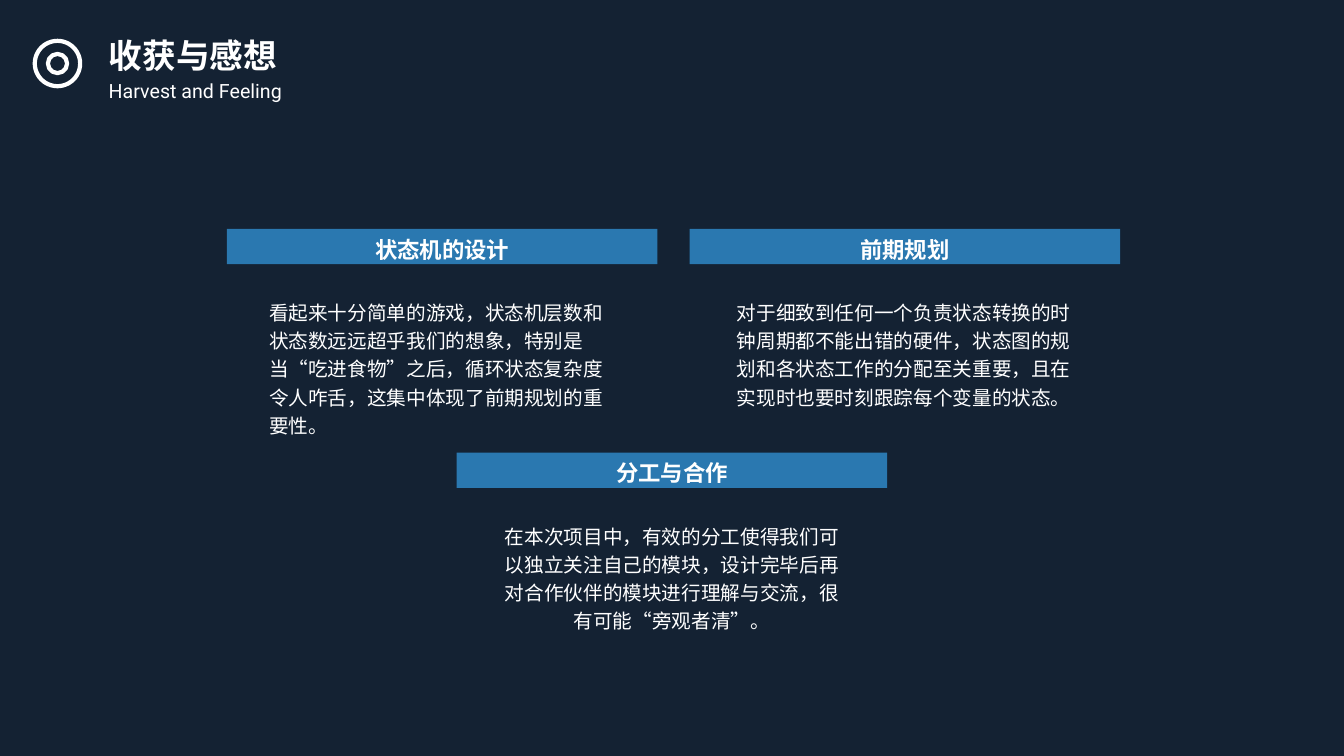
from pptx import Presentation
from pptx.dml.color import RGBColor
from pptx.enum.lang import MSO_LANGUAGE_ID
from pptx.enum.shapes import MSO_SHAPE
from pptx.enum.text import MSO_ANCHOR, MSO_AUTO_SIZE, PP_ALIGN
from pptx.util import Inches, Pt

TITLE = "收获与感想"
SUBTITLE = "Harvest and Feeling"
# heading, body, banner left, banner top, body offset from banner left, body alignment
LESSONS = [
    ("状态机的设计",
     "看起来十分简单的游戏，状态机层数和状态数远远超乎我们的想象，特别是当“吃进食物”之后，"
     "循环状态复杂度令人咋舌，这集中体现了前期规划的重要性。",
     2.25, 2.27, 0.32, PP_ALIGN.LEFT),
    ("前期规划",
     "对于细致到任何一个负责状态转换的时钟周期都不能出错的硬件，状态图的规划和各状态工作的分配至关重要，"
     "且在实现时也要时刻跟踪每个变量的状态。",
     6.84, 2.27, 0.31, PP_ALIGN.CENTER),
    ("分工与合作",
     "在本次项目中，有效的分工使得我们可以独立关注自己的模块，设计完毕后再对合作伙伴的模块进行理解与交流，"
     "很有可能“旁观者清”。",
     4.53, 4.49, 0.32, PP_ALIGN.CENTER),
]
COLORS = {"night": "142233", "banner": "2A78B0", "white": "FFFFFF"}
BANNER_SIZE = (4.27, 0.35)
BODY_SIZE = (3.63, 1.23)
BODY_DROP = 0.62
BANNER_INSET = 0.11
RING_CENTER = (0.57, 0.63)
RING_DIAMETERS = (0.45, 0.19)

CHINESE = MSO_LANGUAGE_ID.SIMPLIFIED_CHINESE
TITLE_FONT = {"size": Pt(24), "bold": True, "language_id": CHINESE}
BANNER_FONT = {"size": Pt(16), "bold": True, "language_id": CHINESE}
BODY_FONT = {"size": Pt(14), "language_id": CHINESE}
SUBTITLE_FONT = {"size": Pt(14)}


def rgb(name):
    return RGBColor.from_string(COLORS[name])


def inches(*lengths):
    return [Inches(length) for length in lengths]


def write(shape, words, font_format, align=PP_ALIGN.LEFT, anchor=MSO_ANCHOR.TOP,
          fit=MSO_AUTO_SIZE.SHAPE_TO_FIT_TEXT, space_before=0):
    frame = shape.text_frame
    frame.word_wrap = True
    frame.auto_size = fit
    frame.vertical_anchor = anchor
    paragraph = frame.paragraphs[0]
    paragraph.alignment = align
    paragraph.line_spacing = 1.2
    paragraph.space_before = Pt(space_before)
    run = paragraph.add_run()
    run.text = words
    for attribute, value in {"name": "Roboto", **font_format}.items():
        setattr(run.font, attribute, value)
    run.font.color.rgb = rgb("white")


def add_banner(slide, heading, left, top):
    banner = slide.shapes.add_shape(
        MSO_SHAPE.RECTANGLE, *inches(left, top, *BANNER_SIZE))
    banner.shadow.inherit = False
    banner.fill.solid()
    banner.fill.fore_color.rgb = rgb("banner")
    banner.line.fill.background()
    for side in ("left", "top", "right", "bottom"):
        setattr(banner.text_frame, f"margin_{side}", Inches(BANNER_INSET))
    write(banner, heading, BANNER_FONT, PP_ALIGN.CENTER, MSO_ANCHOR.MIDDLE,
          MSO_AUTO_SIZE.NONE)


def add_rings(slide):
    emblem = slide.shapes.add_group_shape()
    center_x, center_y = RING_CENTER
    for diameter in RING_DIAMETERS:
        ring = emblem.shapes.add_shape(
            MSO_SHAPE.OVAL,
            *inches(center_x - diameter / 2, center_y - diameter / 2, diameter, diameter))
        ring.shadow.inherit = False
        ring.fill.background()
        ring.line.color.rgb = rgb("white")
        ring.line.width = Pt(3)


def main():
    deck = Presentation()
    deck.slide_width, deck.slide_height = inches(13.33, 7.5)
    slide = deck.slides.add_slide(deck.slide_layouts[5])
    slide.background.fill.solid()
    slide.background.fill.fore_color.rgb = rgb("night")

    title = slide.shapes.title
    title.left, title.top, title.width, title.height = inches(0.98, 0.22, 2.9, 0.58)
    write(title, TITLE, TITLE_FONT)
    subtitle = slide.shapes.add_textbox(*inches(0.98, 0.69, 7.85, 0.38))
    write(subtitle, SUBTITLE, SUBTITLE_FONT, space_before=10)
    add_rings(slide)

    for heading, body, left, top, body_offset, align in LESSONS:
        add_banner(slide, heading, left, top)
        lesson = slide.shapes.add_textbox(
            *inches(left + body_offset, top + BODY_DROP, *BODY_SIZE))
        write(lesson, body, BODY_FONT, align)

    deck.save("out.pptx")


if __name__ == "__main__":
    main()
